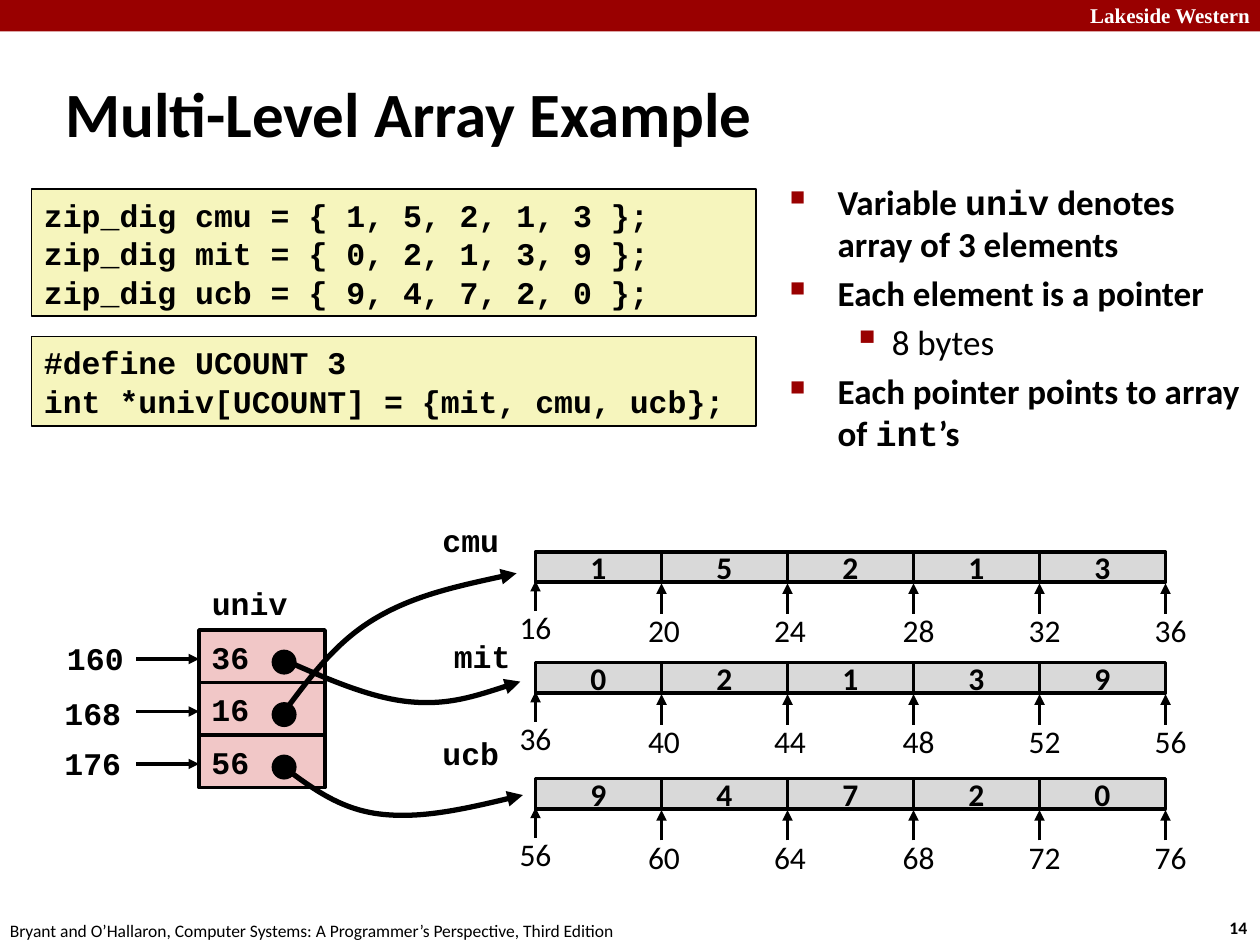
"""Build a slide on a multi-level array: declarations, key facts and a pointer diagram."""
from dataclasses import dataclass

from lxml import etree
from pptx import Presentation
from pptx.dml.color import RGBColor
from pptx.enum.shapes import MSO_CONNECTOR, MSO_SHAPE
from pptx.enum.text import MSO_ANCHOR, PP_ALIGN
from pptx.oxml.ns import qn
from pptx.util import Inches, Pt

LEFT, CENTER, RIGHT = PP_ALIGN.LEFT, PP_ALIGN.CENTER, PP_ALIGN.RIGHT
TOP, MIDDLE = MSO_ANCHOR.TOP, MSO_ANCHOR.MIDDLE
RECTANGLE, OVAL = MSO_SHAPE.RECTANGLE, MSO_SHAPE.OVAL
STRAIGHT = MSO_CONNECTOR.STRAIGHT


@dataclass(frozen=True)
class Theme:
    black: str = "000000"
    white: str = "FFFFFF"
    accent: str = "990000"
    code: str = "F6F5BD"
    pointer: str = "F1C7C7"
    digit: str = "D9D9D9"
    sans: str = "Calibri"
    mono: str = "Courier New"
    serif: str = "Times New Roman"
    title: int = 36
    body: int = 20
    label: int = 18
    header: int = 12
    footer: int = 10
    mono_leading: int = 22


THEME = Theme()

HEADER = "Lakeside Western"
TITLE = "Multi-Level Array Example"
FOOTER = "Bryant and O’Hallaron, Computer Systems: A Programmer’s Perspective, Third Edition"
SLIDE_NUMBER = "14"

CODE_BLOCKS = [
    (1.5, 1.01, ["zip_dig cmu = { 1, 5, 2, 1, 3 };",
                 "zip_dig mit = { 0, 2, 1, 3, 9 };",
                 "zip_dig ucb = { 9, 4, 7, 2, 0 };"]),
    (2.67, 0.71, ["#define UCOUNT 3",
                  "int *univ[UCOUNT] = {mit, cmu, ucb};"]),
]

BULLETS = [
    (0, [("Variable ", THEME.sans), ("univ", THEME.mono),
         (" denotes array of 3 elements", THEME.sans)]),
    (0, [("Each element is a pointer", THEME.sans)]),
    (1, [("8 bytes", THEME.sans)]),
    (0, [("Each pointer points to array of ", THEME.sans), ("int", THEME.mono),
         ("’s", THEME.sans)]),
]
BULLET_LEVELS = [
    {"margin": 0.38, "hang": 0.38, "mark": "■", "percent": 60, "bold": True},
    {"margin": 0.81, "hang": 0.31, "mark": "▪", "percent": 110, "bold": False},
]

POINTERS = [("160", "36", 0.43, 5.02), ("168", "16", 0.41, 5.45), ("176", "56", 0.41, 5.85)]
UNIV_LEFT, UNIV_TOP, UNIV_ROW = 1.58, 5, 5 / 12

ARRAYS = [
    ("cmu", 3.41, 4.08, 4.38, 16, [1, 5, 2, 1, 3]),
    ("mit", 3.5, 5, 5.26, 36, [0, 2, 1, 3, 9]),
    ("ucb", 3.41, 5.77, 6.18, 56, [9, 4, 7, 2, 0]),
]
ARRAY_LEFT, CELL_WIDTH, CELL_HEIGHT, INT_BYTES = 4.25, 1, 0.24, 4
ADDRESS_SHIFTS = [0, 0.02, 0.02, 0.04, 0.04, 0.04]

CURVES = [
    [(2.24, 5.67), (2.45, 5.39), (2.65, 5.11), (2.96, 4.92),
     (3.27, 4.73), (3.68, 4.64), (4.1, 4.55)],
    [(2.26, 5.24), (2.6, 5.39), (2.94, 5.54), (3.25, 5.57),
     (3.56, 5.6), (3.85, 5.5), (4.13, 5.41)],
    [(2.24, 6.08), (2.47, 6.25), (2.69, 6.42), (3.01, 6.46),
     (3.33, 6.5), (3.74, 6.41), (4.15, 6.31)],
]


def color(value):
    return RGBColor.from_string(value)


def write(shape, lines, size=THEME.label, font=THEME.sans, ink=THEME.black, bold=True,
          align=LEFT, anchor=TOP, wrap=True):
    frame = shape.text_frame
    frame.word_wrap, frame.vertical_anchor = wrap, anchor
    frame.text = "\n".join(lines)
    for paragraph in frame.paragraphs:
        paragraph.alignment = align
        if font == THEME.mono:
            paragraph.line_spacing = Pt(THEME.mono_leading)
        style = paragraph.font
        style.name, style.size, style.bold = font, Pt(size), bold
        style.color.rgb = color(ink)


def add_text(slide, box, text, **style):
    write(slide.shapes.add_textbox(*map(Inches, box)), [text], **style)


def add_box(slide, box, fill, line_width, kind=RECTANGLE):
    shape = slide.shapes.add_shape(kind, *map(Inches, box))
    shape.shadow.inherit = False
    shape.fill.solid()
    shape.fill.fore_color.rgb = color(fill)
    if line_width:
        shape.line.color.rgb = color(THEME.black)
        shape.line.width = Pt(line_width)
    else:
        shape.line.fill.background()
    return shape


def point_at_end(shape, width):
    shape.line.color.rgb = color(THEME.black)
    shape.line.width = Pt(width)
    outline = shape._element.spPr.find(qn("a:ln"))
    etree.SubElement(outline, qn("a:tailEnd"), type="triangle")


def add_arrow(slide, start, end):
    arrow = slide.shapes.add_connector(STRAIGHT, *map(Inches, start + end))
    point_at_end(arrow, 2)
    etree.SubElement(arrow._element.spPr, qn("a:effectLst"))


def add_curve(slide, points):
    start, *rest = [(Inches(x), Inches(y)) for x, y in points]
    builder = slide.shapes.build_freeform(*start)
    builder.add_line_segments(rest, close=False)
    curve = builder.convert_to_shape()
    curve.shadow.inherit = False
    curve.fill.background()
    point_at_end(curve, 3)
    segments = curve._element.xpath(".//a:lnTo")
    for first in range(0, len(segments), 3):
        bezier = etree.Element(qn("a:cubicBezTo"))
        segments[first].addprevious(bezier)
        for segment in segments[first:first + 3]:
            bezier.append(segment[0])
            segment.getparent().remove(segment)


def add_bullets(slide, box):
    frame = slide.shapes.add_textbox(*map(Inches, box)).text_frame
    frame.word_wrap = True
    for index, (level, runs) in enumerate(BULLETS):
        look = BULLET_LEVELS[level]
        paragraph = frame.add_paragraph() if index else frame.paragraphs[0]
        paragraph.level = level
        paragraph.space_before = Pt(THEME.body * 0.2)
        properties = paragraph._p.get_or_add_pPr()
        properties.set("marL", str(Inches(look["margin"])))
        properties.set("indent", str(-Inches(look["hang"])))
        tint = etree.SubElement(properties, qn("a:buClr"))
        etree.SubElement(tint, qn("a:srgbClr"), val=THEME.accent)
        etree.SubElement(properties, qn("a:buSzPct"), val=str(look["percent"] * 1000))
        etree.SubElement(properties, qn("a:buChar"), char=look["mark"])
        paragraph.font.size, paragraph.font.bold = Pt(THEME.body), look["bold"]
        paragraph.font.color.rgb = color(THEME.black)
        for text, font in runs:
            run = paragraph.add_run()
            run.text, run.font.name = text, font


def add_univ(slide):
    add_text(slide, (UNIV_LEFT, 4.58, 0.8, 0.4), "univ", font=THEME.mono, align=RIGHT, wrap=False)
    for row, (address, value, left, top) in enumerate(POINTERS):
        cell_top = UNIV_TOP + row * UNIV_ROW
        cell = add_box(slide, (UNIV_LEFT, cell_top, 1, UNIV_ROW), THEME.pointer, 2)
        write(cell, [value], font=THEME.mono, anchor=MIDDLE)
        add_box(slide, (2.17, cell_top + 0.17, 0.17, 0.17), THEME.black, 2, OVAL)
        add_arrow(slide, (1.08, cell_top + 0.23), (UNIV_LEFT, cell_top + 0.23))
        add_text(slide, (left, top, 0.65, 0.4), address, font=THEME.mono, align=RIGHT, wrap=False)


def add_array(slide, name, name_left, name_top, top, address, digits):
    add_text(slide, (name_left, name_top, 0.65, 0.4), name, font=THEME.mono,
             align=RIGHT, wrap=False)
    for column, digit in enumerate(digits):
        left = ARRAY_LEFT + column * CELL_WIDTH
        cell = add_box(slide, (left, top, CELL_WIDTH, CELL_HEIGHT), THEME.digit, 2)
        write(cell, [str(digit)], align=CENTER, anchor=MIDDLE)
    for column, shift in enumerate(ADDRESS_SHIFTS):
        x = ARRAY_LEFT + column * CELL_WIDTH
        y = top if column else top - 0.02
        add_arrow(slide, (x, y + 0.49), (x, y + 0.25))
        add_text(slide, (x + shift - 0.54, y + 0.42, 1.08, 0.4),
                 str(address + column * INT_BYTES), bold=False, align=CENTER)


def main():
    presentation = Presentation()
    presentation.slide_width, presentation.slide_height = Inches(10), Inches(7.5)
    slide = presentation.slides.add_slide(presentation.slide_layouts[6])
    add_box(slide, (0, 0, 10, 0.25), THEME.accent, 0)
    add_text(slide, (8.04, -0.03, 1.98, 0.3), HEADER, size=THEME.header, font=THEME.serif,
             ink=THEME.white, align=RIGHT)
    add_text(slide, (9.66, 7.23, 0.37, 0.27), SLIDE_NUMBER, size=THEME.footer, wrap=False)
    add_text(slide, (-0.02, 7.25, 5.08, 0.27), FOOTER, size=THEME.footer, bold=False, wrap=False)
    add_text(slide, (0.42, 0.58, 7.78, 0.63), TITLE, size=THEME.title, anchor=MIDDLE)
    add_bullets(slide, (6.17, 1.38, 3.83, 2.5))
    for top, height, lines in CODE_BLOCKS:
        write(add_box(slide, (0.25, top, 5.75, height), THEME.code, 1), lines, font=THEME.mono)
    add_univ(slide)
    for array in ARRAYS:
        add_array(slide, *array)
    for points in CURVES:
        add_curve(slide, points)
    presentation.save("out.pptx")


if __name__ == "__main__":
    main()
